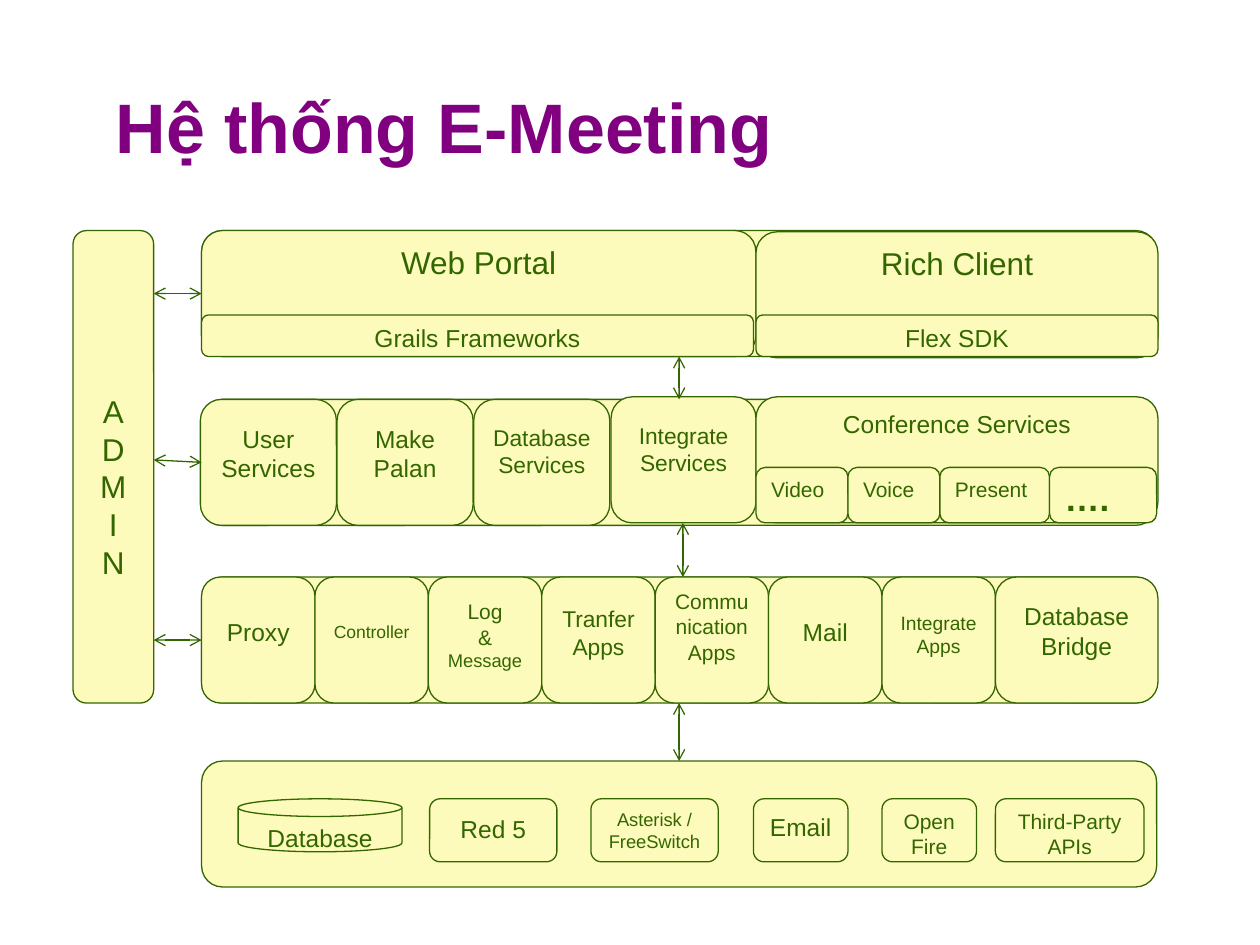
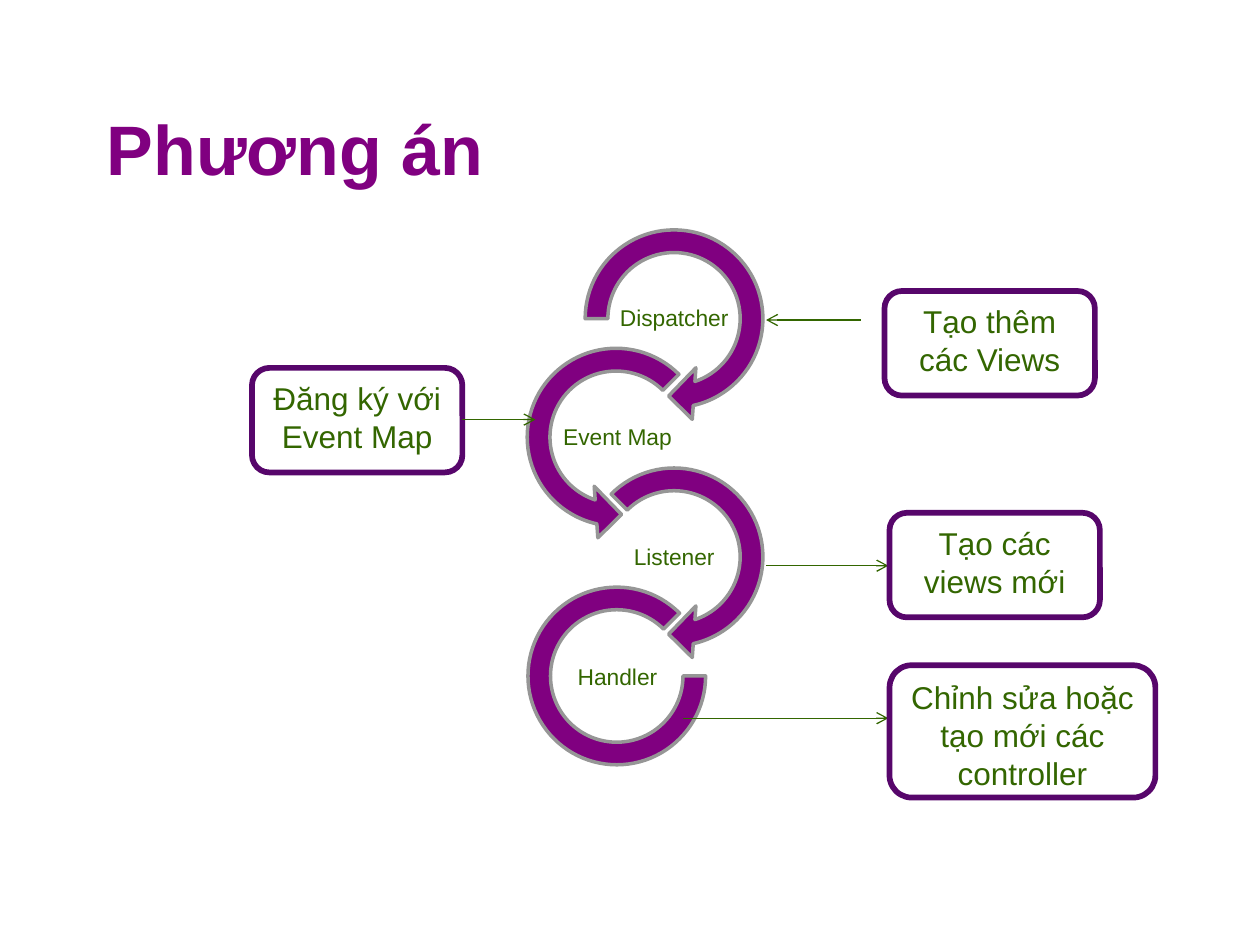
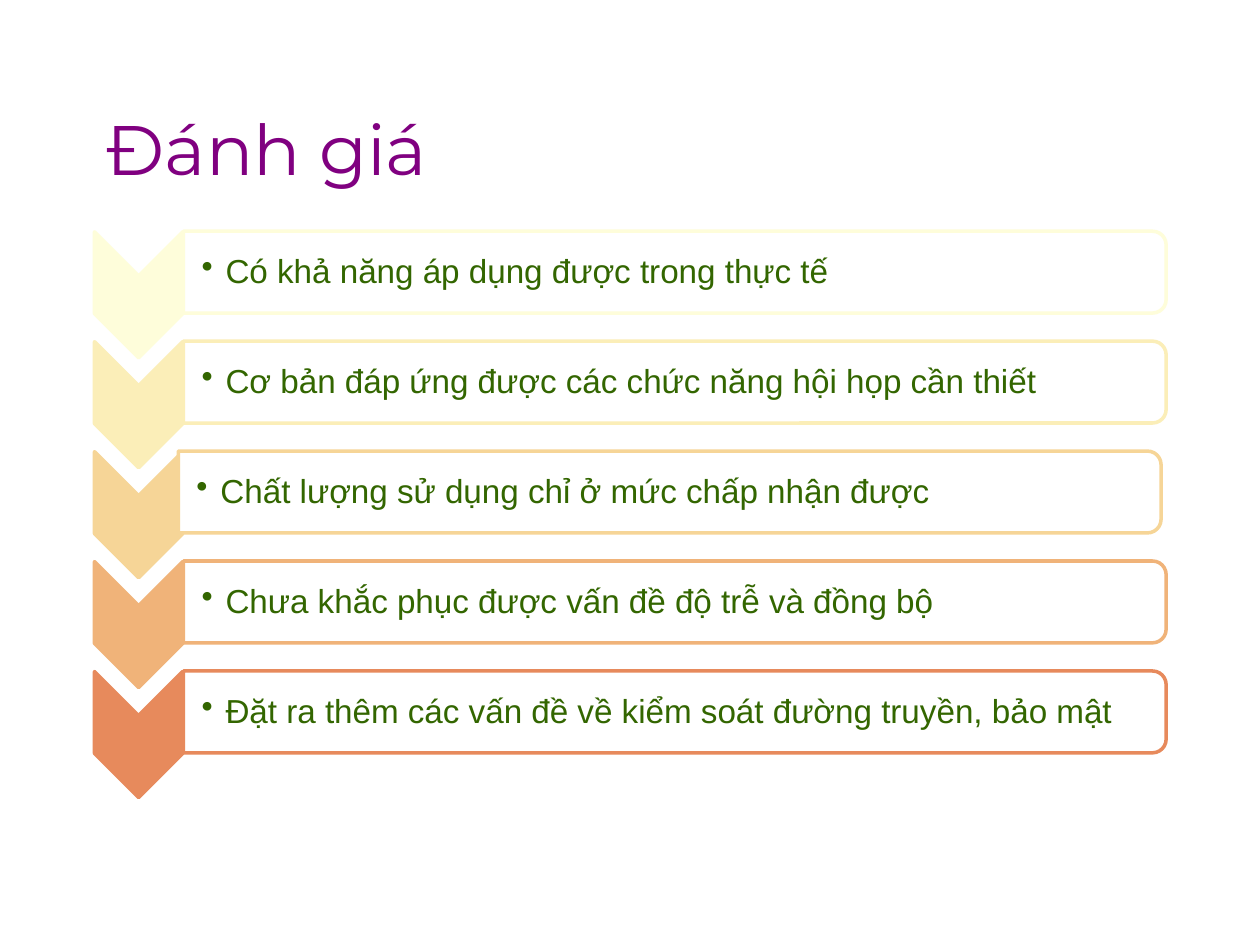
"""Build three slides on an e-meeting system: architecture, approach and evaluation."""
from lxml import etree
from pptx import Presentation
from pptx.dml.color import RGBColor
from pptx.enum.shapes import MSO_CONNECTOR, MSO_SHAPE
from pptx.enum.text import MSO_ANCHOR, PP_ALIGN
from pptx.oxml.ns import qn
from pptx.util import Inches, Pt

ROUNDED = MSO_SHAPE.ROUNDED_RECTANGLE
DISK = MSO_SHAPE.FLOWCHART_MAGNETIC_DISK
RIGHT_ARROW = MSO_SHAPE.CIRCULAR_ARROW
LEFT_ARROW = MSO_SHAPE.LEFT_CIRCULAR_ARROW
ARC = MSO_SHAPE.BLOCK_ARC
CHEVRON = MSO_SHAPE.CHEVRON
TWO_ROUNDED = MSO_SHAPE.ROUND_2_SAME_RECTANGLE
STRAIGHT = MSO_CONNECTOR.STRAIGHT
LEFT, CENTER = PP_ALIGN.LEFT, PP_ALIGN.CENTER
TOP, MIDDLE = MSO_ANCHOR.TOP, MSO_ANCHOR.MIDDLE

COLORS = {
    "title": "800080",
    "text": "336600",
    "box": "FDFBBB",
    "ring": "800080",
    "ring_line": "969696",
    "callout": "57066B",
    "white": "FFFFFF",
    "step1": "FEFDDA",
    "step2": "FBEEB8",
    "step3": "F6D597",
    "step4": "F0B379",
    "step5": "E78A5C",
}
FONT = "Arial"
LINE_HEIGHT = 1.15


def rgb(name):
    return RGBColor.from_string(COLORS[name])


class Deck:
    """Hold the shared style and the slide being drawn."""

    def __init__(self):
        self.presentation = Presentation()
        self.presentation.slide_width = Inches(10)
        self.presentation.slide_height = Inches(7.5)
        self.slide = None

    def start_slide(self, title, left=0.75, top=0.67, font=FONT, bold=True):
        layout = self.presentation.slide_layouts[6]
        self.slide = self.presentation.slides.add_slide(layout)
        self.label(title, left, top, 8.5, 1, 40, LEFT, "title", font, bold)

    def set_text(self, shape, text, size, align, color="text", font=FONT, bold=False):
        text_frame = shape.text_frame
        text_frame.word_wrap = True
        text_frame.text = text
        for paragraph in text_frame.paragraphs:
            paragraph.alignment = align
            for run in paragraph.runs:
                run.font.size = Pt(size)
                run.font.name = font
                run.font.bold = bold
                run.font.color.rgb = rgb(color)

    def label(self, text, left, top, width, height, size, align=CENTER,
              color="text", font=FONT, bold=False, margins=None):
        shape = self.slide.shapes.add_textbox(
            Inches(left), Inches(top), Inches(width), Inches(height))
        self.set_text(shape, text, size, align, color, font, bold)
        text_frame = shape.text_frame
        text_frame.vertical_anchor = MIDDLE
        if margins:
            text_frame.margin_left = Inches(margins[0])
            text_frame.margin_right = Inches(margins[1])
            text_frame.margin_top = text_frame.margin_bottom = Inches(0.01)
            text_frame.paragraphs[0].line_spacing = 0.9
        return shape

    def shape(self, kind, left, top, width, height, fill, line,
              line_width, adjustments=(), rotation=0):
        shape = self.slide.shapes.add_shape(
            kind, Inches(left), Inches(top), Inches(width), Inches(height))
        shape.shadow.inherit = False
        shape.rotation = rotation
        if fill:
            shape.fill.solid()
            shape.fill.fore_color.rgb = rgb(fill)
        else:
            shape.fill.background()
        shape.line.color.rgb = rgb(line)
        shape.line.width = Pt(line_width)
        for index, value in enumerate(adjustments):
            shape.adjustments[index] = value
        return shape

    def box(self, left, top, width, height, text="", size=14, lead=0,
            align=CENTER, bold=False, kind=ROUNDED):
        shape = self.shape(kind, left, top, width, height, "box", "text", 0.75)
        if text:
            self.set_text(shape, text, size, align, bold=bold)
            shape.text_frame.vertical_anchor = TOP
            shape.text_frame.margin_top = Inches(0.05 + lead * LINE_HEIGHT / 72)
        return shape

    def callout(self, text, left, top, width=1.67, height=0.83):
        shape = self.shape(ROUNDED, left, top, width, height, None, "callout", 3.25)
        self.set_text(shape, text, 18, CENTER)
        shape.text_frame.vertical_anchor = TOP

    def arrow(self, x1, y1, x2, y2, both=False):
        connector = self.slide.shapes.add_connector(
            STRAIGHT, Inches(x1), Inches(y1), Inches(x2), Inches(y2))
        connector.line.color.rgb = rgb("text")
        connector.line.width = Pt(0.75)
        line = connector.line._get_or_add_ln()
        for end in ("a:headEnd", "a:tailEnd") if both else ("a:tailEnd",):
            etree.SubElement(line, qn(end), type="arrow")
        etree.SubElement(connector._element.spPr, qn("a:effectLst"))

    def bullet(self, text, left, top, width, height):
        shape = self.label(text, left, top, width, height, 19, LEFT,
                           margins=(0.15, 0.01))
        properties = shape.text_frame.paragraphs[0]._p.get_or_add_pPr()
        properties.set("marL", str(Inches(0.19)))
        properties.set("indent", str(-Inches(0.19)))
        etree.SubElement(properties, qn("a:buChar"), char="•")


def draw_architecture(deck):
    deck.start_slide("Hệ thống E-Meeting", left=0.82, top=0.5)
    layer_tops = (1.83, 3.17, 4.58, 6.04)
    portal_top, service_top, app_top, _ = layer_tops
    for top in layer_tops:
        deck.box(1.6, top, 7.58, 1)
    deck.box(0.58, portal_top, 0.64, 3.75, "A\nD\nM\nI\nN", 18, lead=75)
    deck.box(1.6, portal_top, 4.4, 1, "Web Portal", 18)
    deck.box(6, 1.84, 3.19, 1, "Rich Client", 18)

    services = (("User\nServices", 14), ("Make\nPalan", 14), ("Database\nServices", 13))
    for index, (text, size) in enumerate(services):
        deck.box(1.59 + 1.085 * index, service_top, 1.08, 1, text, size, lead=6)
    deck.box(4.85, 3.15, 1.15, 1, "Integrate\nServices", 13, lead=6)
    deck.box(6, 3.15, 3.19, 1, "Conference Services")

    apps = (
        ("Proxy", 14, 14), ("Controller", 10, 16), ("Log\n&\nMessage", 12, 5),
        ("Tranfer\nApps", 13, 8), ("Communication\nApps", 12, 0),
        ("Mail", 14, 14), ("Integrate\nApps", 11, 11), ("Database\nBridge", 14, 6),
    )
    for index, (text, size, lead) in enumerate(apps):
        width = 1.29 if index == len(apps) - 1 else 0.9
        app = deck.box(1.6 + 0.9 * index, app_top, width, 1, text, size, lead)
        if text.endswith("Message"):
            app.text_frame.paragraphs[-1].runs[0].font.size = Pt(10.5)

    media = (("Video", 6, 0.73), ("Voice", 6.73, 0.73), ("Present", 7.46, 0.87))
    for text, left, width in media:
        deck.box(left, 3.71, width, 0.44, text, 12, align=LEFT)
    deck.box(8.33, 3.71, 0.85, 0.44, "….", 20, align=LEFT, bold=True)

    deck.box(1.89, 6.34, 1.3, 0.42, "Database", kind=DISK)
    backends = (
        ("Red 5", 3.41, 1.01, 14, 3), ("Asterisk /\nFreeSwitch", 4.69, 1.01, 10.5, 0),
        ("Email", 5.98, 0.75, 14, 2), ("Open\nFire", 7, 0.75, 12, 0),
        ("Third-Party\nAPIs", 7.9, 1.18, 12, 0),
    )
    for text, left, width, size, lead in backends:
        deck.box(left, 6.34, width, 0.5, text, size, lead)

    for x, start, end in ((5.39, 2.83, 3.17), (5.42, 4.15, 4.58), (5.39, 5.58, 6.04)):
        deck.arrow(x, start, x, end, both=True)
    for start, end in ((2.33, 2.33), (3.67, 3.65), (5.08, 5.08)):
        deck.arrow(1.6, start, 1.22, end, both=True)
    deck.box(1.6, 2.5, 4.38, 0.33, "Grails Frameworks")
    deck.box(6, 2.5, 3.19, 0.33, "Flex SDK")


def draw_approach(deck):
    deck.start_slide("Phương án")
    rings = (
        ("Dispatcher", RIGHT_ARROW, 4.53, 1.71, 1.64, (0.11, 11.42, 45, 108, 0.125), 4.89),
        ("Event Map", LEFT_ARROW, 4.07, 2.65, 1.64, (0.11, 11.42, 63, 189, 0.125), 4.44),
        ("Listener", RIGHT_ARROW, 4.53, 3.6, 1.64, (0.11, 11.42, 45, 135, 0.125), 4.89),
        ("Handler", ARC, 4.19, 4.66, 1.41, (0, 189, 0.127), 4.44),
    )
    for index, (text, kind, left, top, size, adjustments, label_left) in enumerate(rings):
        deck.shape(kind, left, top, size, size, "ring", "ring_line", 2, adjustments)
        deck.label(text, label_left, 2.3 + 0.95 * index, 0.92, 0.46, 13,
                   margins=(0.01, 0.01))

    deck.callout("Đăng ký với Event Map", 2, 2.92)
    for x1, x2, y in ((6.83, 6.08, 2.54), (3.67, 4.25, 3.33),
                      (6.08, 7.05, 4.49), (5.42, 7.05, 5.7)):
        deck.arrow(x1, y, x2, y)
    deck.callout("Tạo các views mới", 7.06, 4.07)
    deck.callout("Tạo thêm các Views", 7.02, 2.31)
    deck.callout("Chỉnh sửa hoặc tạo mới các controller", 7.06, 5.28, 2.11, 1.05)


def draw_evaluation(deck):
    deck.start_slide("Đánh giá", font="Montserrat", bold=False)
    findings = (
        ("Có khả năng áp dụng được trong thực tế", 0),
        ("Cơ bản đáp ứng được các chức năng hội họp cần thiết", 0),
        ("Chất lượng sử dụng chỉ ở mức chấp nhận được", -0.04),
        ("Chưa khắc phục được vấn đề độ trễ và đồng bộ", 0),
        ("Đặt ra thêm các vấn đề về kiểm soát đường truyền, bảo mật", 0),
    )
    for index, (text, shift) in enumerate(findings):
        color = f"step{index + 1}"
        offset = 3.49 / 4 * index
        deck.shape(CHEVRON, 0.6, 1.99 + offset, 1, 0.7, color, color, 2, rotation=90)
        deck.shape(TWO_ROUNDED, 5.03 + shift, -1.74 + offset, 0.65, 7.8,
                   "white", color, 2, rotation=90)
        deck.bullet(text, 1.45 + shift, 1.87 + offset, 7.77, 0.59)


def main():
    deck = Deck()
    draw_architecture(deck)
    draw_approach(deck)
    draw_evaluation(deck)
    deck.presentation.save("out.pptx")


if __name__ == "__main__":
    main()
